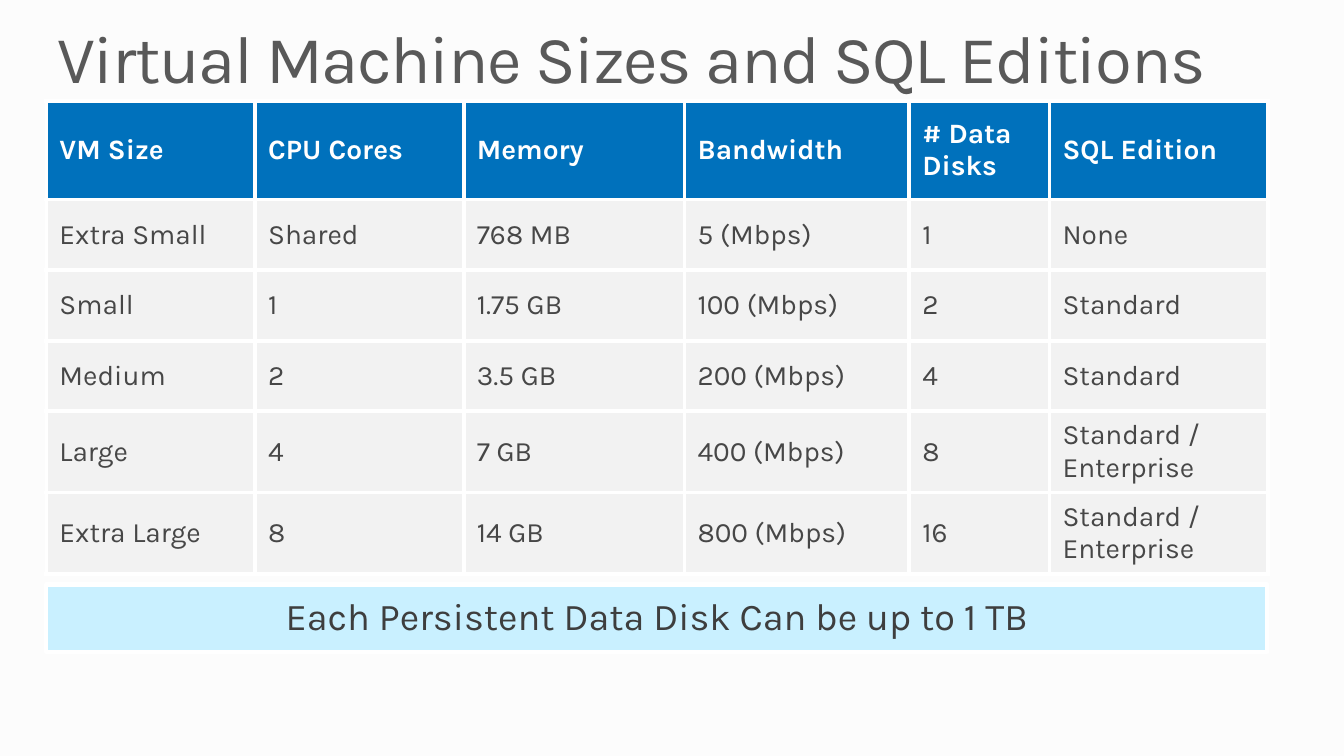
from lxml import etree
from pptx import Presentation
from pptx import util as u
from pptx.dml.color import RGBColor
from pptx.enum import shapes, text
from pptx.oxml.ns import qn

PX = 9144  # 100 px to the inch
FONT = "Karla"
WHITE, BLUE, GRAY = "FFFFFF", "0071BC", "F2F2F2"

COLUMN_WIDTHS = [207, 207, 219, 223, 139, 217]
ROW_HEIGHTS = [98] + [70] * 5
VM_SIZES = [
    ["VM Size", "CPU Cores", "Memory", "Bandwidth", "# Data Disks", "SQL Edition"],
    ["Extra Small", "Shared", "768 MB", "5 (Mbps)", "1", "None"],
    ["Small", "1", "1.75 GB", "100 (Mbps)", "2", "Standard"],
    ["Medium", "2", "3.5 GB", "200 (Mbps)", "4", "Standard"],
    ["Large", "4", "7 GB", "400 (Mbps)", "8", "Standard / Enterprise"],
    ["Extra Large", "8", "14 GB", "800 (Mbps)", "16", "Standard / Enterprise"],
]


def px(*lengths):
    return [u.Emu(n * PX) for n in lengths]


def rgb(color):
    return RGBColor.from_string(color)


def fill(item, color):
    item.fill.solid()
    item.fill.fore_color.rgb = rgb(color)


def set_margins(item, horizontal, vertical):
    item.margin_left = item.margin_right = u.Emu(horizontal * PX)
    item.margin_top = item.margin_bottom = u.Emu(vertical * PX)


def write(tf, words, size, color, bold=False):
    """Fill a text frame with one styled paragraph and return it."""
    tf.word_wrap = True
    p = tf.paragraphs[0]
    p.text = words
    font = p.runs[0].font
    font.name, font.size, font.bold = FONT, u.Pt(size), bold
    font.color.rgb = rgb(color)
    return p


def add_title(s, words, box):
    tf = s.shapes.add_textbox(*px(*box)).text_frame
    set_margins(tf, 0, 0)
    p = write(tf, words, 48, "595959")
    p.line_spacing = 0.9
    p.runs[0].font._element.set("spc", "-100")


def add_banner(s, words, box):
    sp = s.shapes.add_shape(shapes.MSO_SHAPE.RECTANGLE, *px(*box))
    sp.shadow.inherit = False
    fill(sp, "C9F0FF")
    sp.line.color.rgb = rgb(WHITE)
    sp.line.width = u.Pt(3)
    tf = sp.text_frame
    set_margins(tf, 13, 13)
    tf.vertical_anchor = text.MSO_ANCHOR.MIDDLE
    p = write(tf, words, 27, "3E3E3E")
    p.alignment = text.PP_ALIGN.CENTER
    p.line_spacing = 0.9


def add_borders(cell, color, width):
    tc_pr = cell._tc.get_or_add_tcPr()
    for side in ("a:lnL", "a:lnR", "a:lnT", "a:lnB"):
        ln = etree.SubElement(tc_pr, qn(side), w=str(u.Pt(width)))
        solid = etree.SubElement(ln, qn("a:solidFill"))
        etree.SubElement(solid, qn("a:srgbClr"), val=color)


def add_size_table(s, left, top):
    frame = s.shapes.add_table(
        len(VM_SIZES), len(COLUMN_WIDTHS),
        *px(left, top, sum(COLUMN_WIDTHS), sum(ROW_HEIGHTS)))
    table = frame.table
    table.first_row = table.horz_banding = False
    for column, width in zip(table.columns, px(*COLUMN_WIDTHS)):
        column.width = width
    for row, height in zip(table.rows, px(*ROW_HEIGHTS)):
        row.height = height
    for i, values in enumerate(VM_SIZES):
        header = i == 0
        for j, value in enumerate(values):
            cell = table.cell(i, j)
            add_borders(cell, WHITE, 3)
            fill(cell, BLUE if header else GRAY)
            set_margins(cell, 13, 7)
            cell.vertical_anchor = text.MSO_ANCHOR.MIDDLE
            write(cell.text_frame, value, 20, WHITE if header else "474747", header)


def main():
    prs = Presentation()
    prs.slide_width, prs.slide_height = px(1333, 750)
    s = prs.slides.add_slide(prs.slide_layouts[6])
    fill(s.background, "FCFCFC")
    add_title(s, "Virtual Machine Sizes and SQL Editions", (57, 25, 1219, 73))
    add_banner(s, "Each Persistent Data Disk Can be up to 1 TB", (46, 580, 1211, 67))
    add_size_table(s, 46, 100)
    prs.save("out.pptx")


if __name__ == "__main__":
    main()
